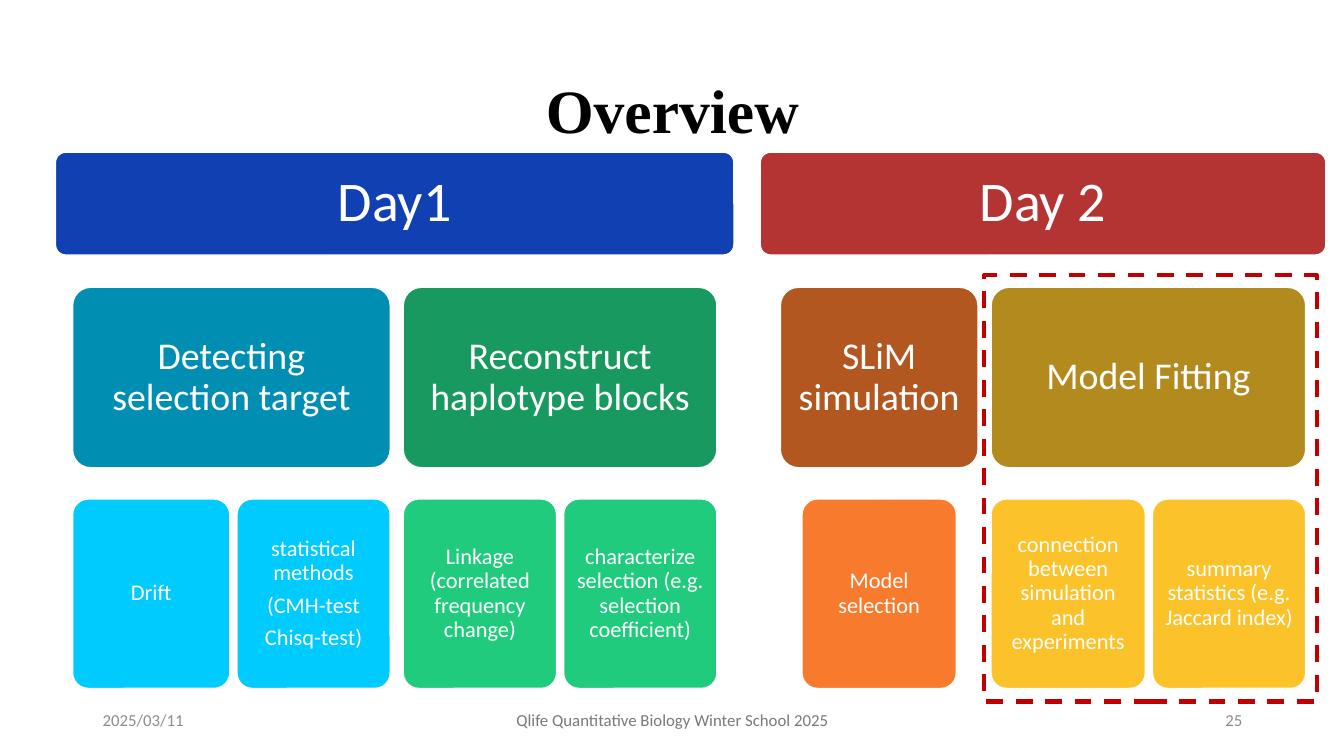
"""Build the two-day course overview slide."""
from pptx import Presentation
from pptx.dml.color import RGBColor
from pptx.enum.dml import MSO_LINE
from pptx.enum.shapes import MSO_SHAPE
from pptx.enum.text import MSO_ANCHOR, PP_ALIGN
from pptx.util import Pt

ROUNDED, RECTANGLE = MSO_SHAPE.ROUNDED_RECTANGLE, MSO_SHAPE.RECTANGLE
MIDDLE, DASH = MSO_ANCHOR.MIDDLE, MSO_LINE.DASH
LEFT, CENTER, RIGHT = PP_ALIGN.LEFT, PP_ALIGN.CENTER, PP_ALIGN.RIGHT
PX = 9144

COLORS = {
    "white": "FFFFFF", "black": "000000", "grey": "8C8C8C", "footer": "797979",
    "blue": "1140B3", "teal": "008EB3", "cyan": "00CBFF",
    "green": "17995F", "mint": "20CB7D", "red": "B43434",
    "brown": "B35720", "orange": "F87A2D",
    "olive": "B38A1E", "yellow": "FCC229", "highlight": "C00000",
}

DAYS = [
    ("Day1", "blue", 55, 673, [
        ("Detecting selection target", "teal", 72, 315, "cyan", [
            ("Drift", 156),
            ("statistical methods\n(CMH-test\nChisq-test)", 152)]),
        ("Reconstruct haplotype blocks", "green", 400, 311, "mint", [
            ("Linkage (correlated frequency change)", 152),
            ("characterize selection (e.g. selection coefficient)", 152)]),
    ]),
    ("Day 2", "red", 754, 561, [
        ("SLiM simulation", "brown", 774, 196, "orange", [
            ("Model selection", 153)]),
        ("Model Fitting", "olive", 983, 312, "yellow", [
            ("connection between simulation and experiments", 153),
            ("summary statistics (e.g. Jaccard index)", 152)]),
    ]),
]

FOOTERS = [
    ("2025/03/11", 92, 300, LEFT, "grey"),
    ("Qlife Quantitative Biology Winter School 2025", 442, 450, CENTER, "footer"),
    ("25", 942, 300, RIGHT, "grey"),
]

DAY_ROW = (151, 102, 40, 17)
TOPIC_ROW = (285, 179, 27, 11)
DETAIL_ROW = (495, 188, 16, 7)
DETAIL_GAP = 7
HIGHLIGHT = (976, 273, 330, 423)


def rgb(name):
    return RGBColor.from_string(COLORS[name])


def px(*lengths):
    return [round(length * PX) for length in lengths]


def write(frame, text, size, color, align, font="Calibri", bold=False):
    frame.text = text
    frame.word_wrap = True
    frame.vertical_anchor = MIDDLE
    for index, paragraph in enumerate(frame.paragraphs):
        paragraph.alignment = align
        paragraph.line_spacing = 0.9
        if index:
            paragraph.space_before = Pt(round(size * 0.35, 1))
        for run in paragraph.runs:
            run.font.name = font
            run.font.size = Pt(size)
            run.font.bold = bold
            run.font.color.rgb = rgb(color)


def add_card(slide, text, color, left, width, row):
    top, height, size, inset = row
    card = slide.shapes.add_shape(ROUNDED, *px(left, top, width, height))
    card.adjustments[0] = 0.1
    card.shadow.inherit = False
    card.fill.solid()
    card.fill.fore_color.rgb = rgb(color)
    card.line.color.rgb = rgb("white")
    card.line.width = Pt(1)
    frame = card.text_frame
    frame.margin_left = frame.margin_right = inset * PX
    frame.margin_top = frame.margin_bottom = inset * PX
    write(frame, text, size, "white", CENTER)


def add_topic(slide, topic):
    text, color, left, width, detail_color, details = topic
    add_card(slide, text, color, left, width, TOPIC_ROW)
    total = sum(detail[1] for detail in details) + DETAIL_GAP * (len(details) - 1)
    detail_left = left + (width - total) / 2
    for detail, detail_width in details:
        add_card(slide, detail, detail_color, detail_left, detail_width, DETAIL_ROW)
        detail_left += detail_width + DETAIL_GAP


def main():
    deck = Presentation()
    deck.slide_width, deck.slide_height = px(1333, 750)
    slide = deck.slides.add_slide(deck.slide_layouts[5])

    title = slide.shapes.title
    title.left, title.top, title.width, title.height = px(92, 40, 1150, 145)
    write(title.text_frame, "Overview", 44, "black", CENTER, "Times New Roman", True)

    for text, left, width, align, color in FOOTERS:
        footer = slide.shapes.add_textbox(*px(left, 695, width, 40))
        write(footer.text_frame, text, 12, color, align)

    for day, color, left, width, topics in DAYS:
        add_card(slide, day, color, left, width, DAY_ROW)
        for topic in topics:
            add_topic(slide, topic)

    highlight = slide.shapes.add_shape(RECTANGLE, *px(*HIGHLIGHT))
    highlight.shadow.inherit = False
    highlight.fill.background()
    highlight.line.color.rgb = rgb("highlight")
    highlight.line.width = Pt(3)
    highlight.line.dash_style = DASH

    deck.save("out.pptx")


if __name__ == "__main__":
    main()
